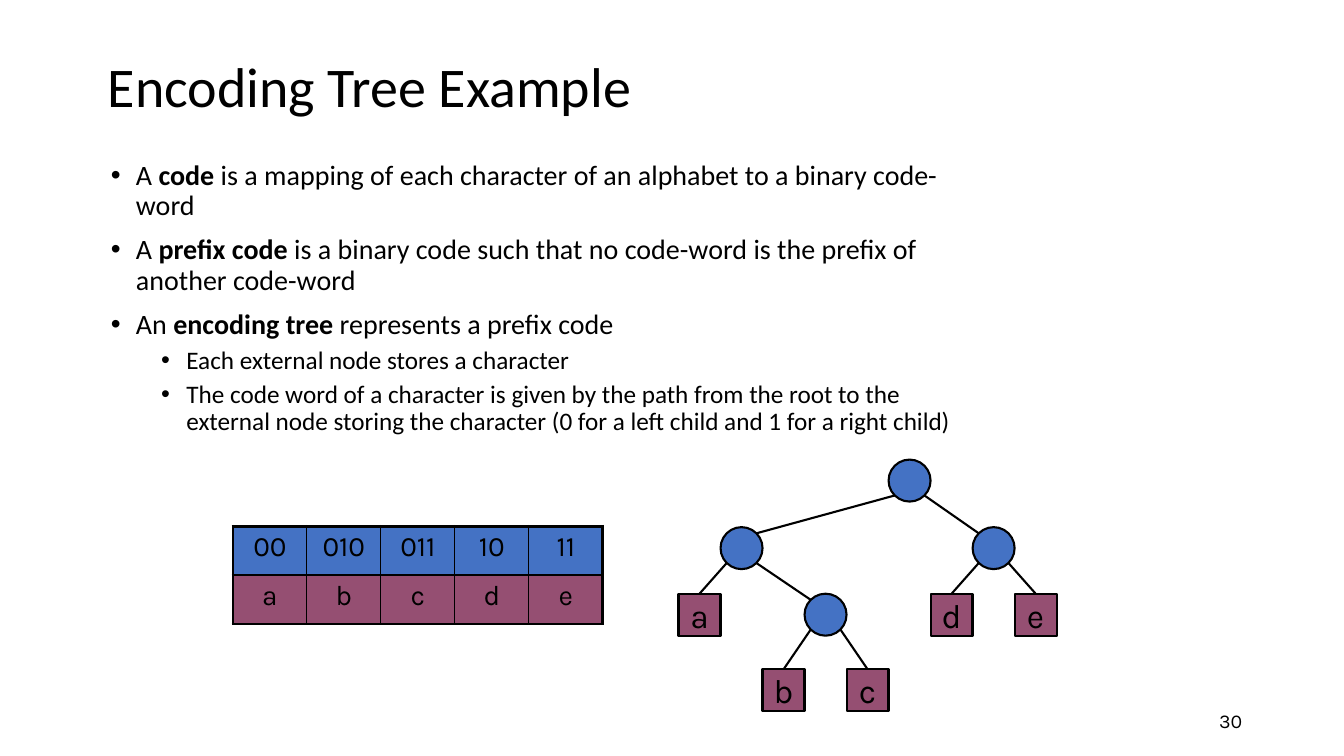
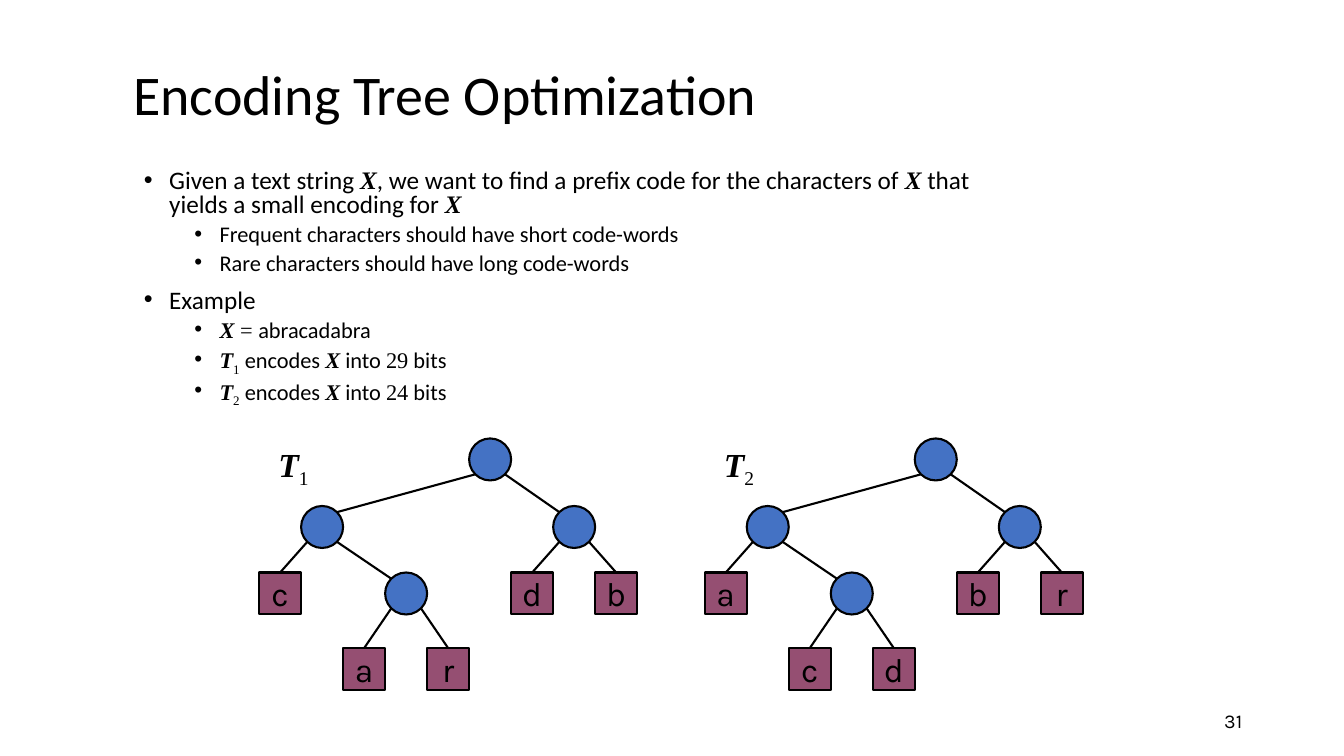
"""Builds two slides on encoding trees, with bullets, a code table and tree diagrams."""
import pptx
import pptx.dml.color
import pptx.enum.shapes
import pptx.enum.text
import pptx.oxml
import pptx.oxml.ns
import pptx.util

Inches, Pt = pptx.util.Inches, pptx.util.Pt
ALIGN = pptx.enum.text.PP_ALIGN
MIDDLE = pptx.enum.text.MSO_ANCHOR.MIDDLE
SHAPE = pptx.enum.shapes.MSO_SHAPE

BLACK, BLUE, PLUM = "000000", "4472C4", "954F72"
BODY, LABEL, MATH = "Calibri", "Karla", "Times New Roman"
LINE = 1.5
NODE = 5 / 12
LEVEL_TOPS = (0, 0.67, 1.33, 2.08)
DIAGONAL = NODE / 2 * 0.5 ** 0.5
STYLES = {
    "plain": {"name": BODY},
    "strong": {"name": BODY, "bold": True},
    "variable": {"name": MATH, "bold": True, "italic": True},
    "number": {"name": MATH},
    "index": {"name": MATH},
    "label": {"name": LABEL},
}
INDEX_BASELINE = "-25000"


def encoding_line(index, bits):
    """Return the bullet that tells how many bits a tree needs."""
    return (1, [("T", "variable"), (index, "index"), (" encodes ", "plain"), ("X", "variable"),
                (" into ", "plain"), (bits, "number"), (" bits", "plain")])


SLIDES = [
    {
        "number": "30",
        "title": ("Encoding Tree Example", (0.97, 0.26, 7.24, 1.25)),
        "box": (1, 1.55, 8.75, 3.25), "sizes": (20, 18), "spacing": 0.9,
        "bullets": [
            (0, [("A ", "plain"), ("code", "strong"),
                 (" is a mapping of each character of an alphabet to a binary code-word", "plain")]),
            (0, [("A ", "plain"), ("prefix code", "strong"),
                 (" is a binary code such that no code-word is the prefix of another code-word",
                  "plain")]),
            (0, [("An ", "plain"), ("encoding tree", "strong"),
                 (" represents a prefix code", "plain")]),
            (1, [("Each external node stores a character", "plain")]),
            (1, [("The code word of a character is given by the path from the root to the external "
                  "node storing the character (0 for a left child and 1 for a right child)",
                  "plain")]),
        ],
        "trees": [(6.73, 4.56, (("a", ("b", "c")), ("d", "e")), None)],
        "table": ((2.31, 5.22, 3.67, 0.97),
                  [(BLUE, ("00", "010", "011", "10", "11")), (PLUM, ("a", "b", "c", "d", "e"))]),
    },
    {
        "number": "31",
        "title": ("Encoding Tree Optimization", (1.22, 0.34, 8.16, 1.25)),
        "box": (1.33, 1.64, 8.5, 2.5), "sizes": (18, 16), "spacing": 0.8,
        "bullets": [
            (0, [("Given a text string ", "plain"), ("X", "variable"),
                 (", we want to find a prefix code for the characters of ", "plain"),
                 ("X", "variable"), (" that yields a small encoding for ", "plain"),
                 ("X", "variable")]),
            (1, [("Frequent characters should have short code-words", "plain")]),
            (1, [("Rare characters should have long code-words", "plain")]),
            (0, [("Example", "plain")]),
            (1, [("X ", "variable"), ("= ", "number"), ("abracadabra", "plain")]),
            encoding_line("1", "29"),
            encoding_line("2", "24"),
        ],
        "trees": [(2.57, 4.35, (("c", ("a", "r")), ("d", "b")), "1"),
                  (6.99, 4.35, (("a", ("c", "d")), ("b", "r")), "2")],
    },
]


def color(value):
    """Turn a hex string into a colour."""
    return pptx.dml.color.RGBColor.from_string(value)


def assign(target, values):
    """Set every attribute in a dict of format values."""
    for name, value in values.items():
        setattr(target, name, value)


def place(box, frame):
    """Move and size a shape in inches."""
    assign(box, dict(zip(("left", "top", "width", "height"), map(Inches, frame))))


def write(para, spans, size, **values):
    """Fill a paragraph with styled spans."""
    assign(para, values)
    for text, style in spans:
        span = para.add_run()
        span.text = text
        assign(span.font, {"size": Pt(size), "bold": False, "italic": False, **STYLES[style]})
        span.font.color.rgb = color(BLACK)
        if style == "index":
            span._r.get_or_add_rPr().set("baseline", INDEX_BASELINE)


def add_text(page, frame, spans, size, wrap=True, frame_values=None, **values):
    """Add a text box with one paragraph."""
    box = page.shapes.add_textbox(*map(Inches, frame))
    assign(box.text_frame, {"word_wrap": wrap, **(frame_values or {})})
    write(box.text_frame.paragraphs[0], spans, size, **values)


def add_title(page, text, frame):
    """Format the title placeholder."""
    title = page.shapes.title
    place(title, frame)
    assign(title.text_frame, {"vertical_anchor": MIDDLE, "word_wrap": True,
                              "auto_size": pptx.enum.text.MSO_AUTO_SIZE.NONE})
    write(title.text_frame.paragraphs[0], [(text, "plain")], 40,
          alignment=ALIGN.LEFT, line_spacing=0.9)


def add_bullets(page, frame, bullets, sizes, spacing):
    """Add the two-level bullet list."""
    text_frame = page.shapes.add_textbox(*map(Inches, frame)).text_frame
    text_frame.word_wrap = True
    for position, (level, spans) in enumerate(bullets):
        para = text_frame.add_paragraph() if position else text_frame.paragraphs[0]
        write(para, spans, sizes[level], level=level, line_spacing=spacing,
              space_before=Pt((10, 5)[level]))
        settings = para._p.get_or_add_pPr()
        settings.set("marL", str(Inches(0.25 + 0.5 * level)))
        settings.set("indent", str(Inches(-0.25)))
        for tag, name, value in (("buFont", "typeface", "Arial"), ("buChar", "char", "•")):
            pptx.oxml.ns.qn("a:" + tag)
            mark = pptx.oxml.parse_xml(
                f'<a:{tag} {pptx.oxml.ns.nsdecls("a")} {name}="{value}"/>')
            settings.append(mark)


def add_edge(group, start, end):
    """Draw a line between two points of a tree."""
    edge = group.shapes.add_connector(pptx.enum.shapes.MSO_CONNECTOR.STRAIGHT,
                                      *map(Inches, (*start, *end)))
    edge.line.color.rgb = color(BLACK)
    edge.line.width = Pt(LINE)
    edge._element.spPr.append(
        pptx.oxml.parse_xml(f'<a:effectLst {pptx.oxml.ns.nsdecls("a")}/>'))


def add_node(group, left, top, letter=None):
    """Draw a round inner node, or a square leaf with its letter."""
    node = group.shapes.add_shape(SHAPE.RECTANGLE if letter else SHAPE.OVAL,
                                  *map(Inches, (left, top, NODE, NODE)))
    node.shadow.inherit = False
    node.fill.solid()
    node.fill.fore_color.rgb = color(PLUM if letter else BLUE)
    node.line.color.rgb = color(BLACK)
    node.line.width = Pt(LINE)
    if letter:
        assign(node.text_frame, {"word_wrap": False, "vertical_anchor": MIDDLE})
        write(node.text_frame.paragraphs[0], [(letter, "label")], 24, alignment=ALIGN.CENTER)


def add_tree(group, left, top, tree, depth=0, column=0):
    """Draw a tree in order, one column per node; return its root column and next free column."""
    level_top = top + LEVEL_TOPS[depth]
    if isinstance(tree, str):
        add_node(group, left + column * NODE, level_top, tree)
        return column, column + 1
    first, root = add_tree(group, left, top, tree[0], depth + 1, column)
    second, following = add_tree(group, left, top, tree[1], depth + 1, root + 1)
    add_node(group, left + root * NODE, level_top)
    middle_x, middle_y = left + (root + 0.5) * NODE, level_top + NODE / 2
    for side, child, child_column in ((-1, tree[0], first), (1, tree[1], second)):
        end_x, end_y = left + (child_column + 0.5) * NODE, top + LEVEL_TOPS[depth + 1]
        if not isinstance(child, str):
            end_x -= side * DIAGONAL
            end_y += NODE / 2 - DIAGONAL
        add_edge(group, (middle_x + side * DIAGONAL, middle_y + DIAGONAL), (end_x, end_y))
    return root, following


def add_border(cell, side, width):
    """Draw one border of a table cell."""
    cell._tc.get_or_add_tcPr().append(pptx.oxml.parse_xml(
        f'<a:ln{side} {pptx.oxml.ns.nsdecls("a")} w="{Pt(width)}"><a:solidFill>'
        f'<a:srgbClr val="{BLACK}"/></a:solidFill></a:ln{side}>'))


def add_code_table(page, frame, rows):
    """Add the table of code-words and characters."""
    row_count, column_count = len(rows), len(rows[0][1])
    table = page.shapes.add_table(row_count, column_count, *map(Inches, frame)).table
    assign(table, {"first_row": False, "horz_banding": False})
    for row, (fill, texts) in enumerate(rows):
        for column, text in enumerate(texts):
            cell = table.cell(row, column)
            outer = {"L": column == 0, "R": column == column_count - 1,
                     "T": row == 0, "B": row == row_count - 1}
            for side, thick in outer.items():
                add_border(cell, side, 2.25 if thick else 1)
            cell.fill.solid()
            cell.fill.fore_color.rgb = color(fill)
            write(cell.text_frame.paragraphs[0], [(text, "label")], 20, alignment=ALIGN.CENTER)


def add_page(deck, content):
    """Build one slide from its content."""
    page = deck.slides.add_slide(deck.slide_layouts.get_by_name("Title Only"))
    add_title(page, *content["title"])
    add_text(page, (9.42, 6.95, 3, 0.4), [(content["number"], "label")], 14,
             frame_values={"vertical_anchor": MIDDLE}, alignment=ALIGN.RIGHT)
    add_bullets(page, content["box"], content["bullets"], content["sizes"], content["spacing"])
    for left, top, tree, index in content["trees"]:
        add_tree(page.shapes.add_group_shape(), left, top, tree)
        if index:
            add_text(page, (left + 0.08, top, 0.52, 0.5), [("T", "variable"), (index, "index")],
                     24, wrap=False, alignment=ALIGN.CENTER)
    if "table" in content:
        add_code_table(page, *content["table"])


def main():
    """Build and save the deck."""
    deck = pptx.Presentation()
    assign(deck, {"slide_width": Inches(13.33), "slide_height": Inches(7.5)})
    for content in SLIDES:
        add_page(deck, content)
    deck.save("out.pptx")


if __name__ == "__main__":
    main()
